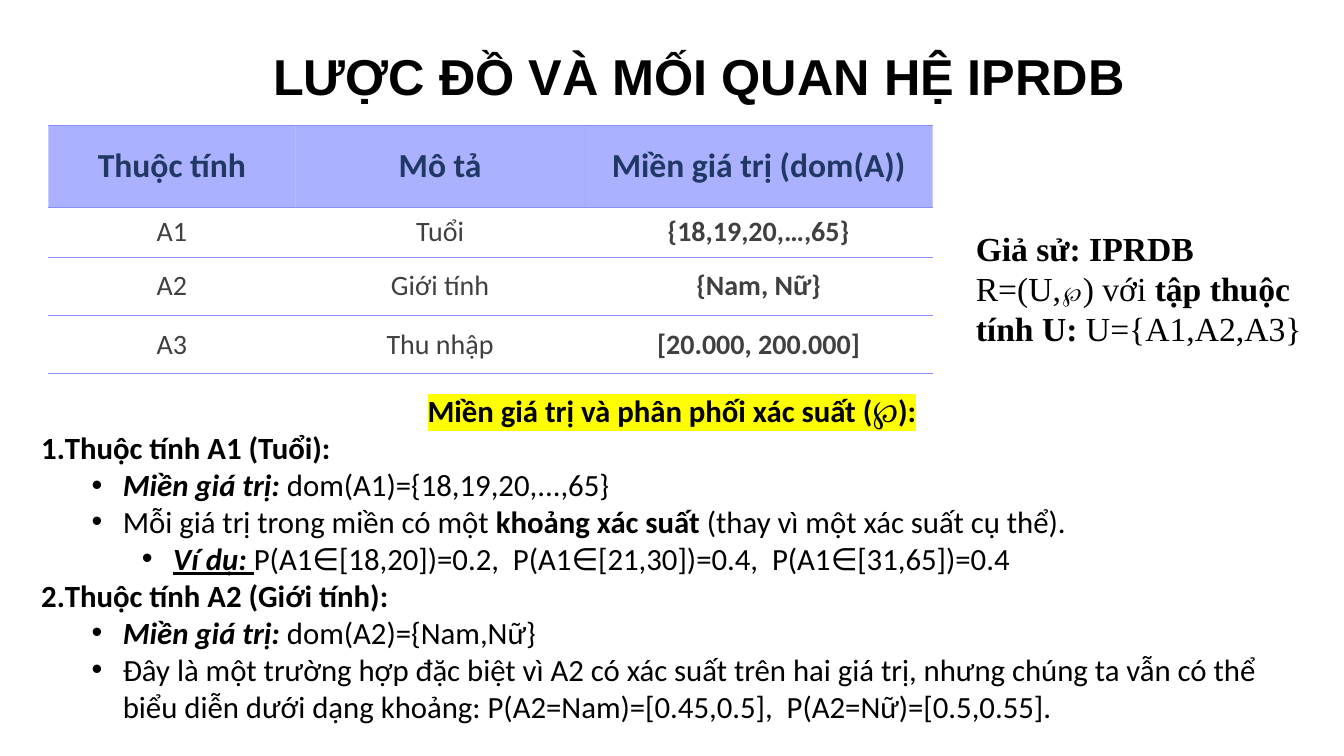
from dataclasses import dataclass

from lxml import etree
from pptx import Presentation
from pptx.dml.color import RGBColor
from pptx.enum.text import MSO_ANCHOR, MSO_AUTO_SIZE, PP_ALIGN
from pptx.oxml.ns import qn
from pptx.util import Pt

PX = 9144
LEFT, CENTER = PP_ALIGN.LEFT, PP_ALIGN.CENTER
TOP, MIDDLE = MSO_ANCHOR.TOP, MSO_ANCHOR.MIDDLE
NO_AUTOFIT = MSO_AUTO_SIZE.NONE
COLORS = {"black": "000000", "navy": "203864", "gray": "404040",
          "violet": "888FFF", "yellow": "FFFF00"}


@dataclass(frozen=True)
class Box:
    left: int
    top: int
    width: int
    height: int

    def emu(self) -> list[int]:
        return [n * PX for n in (self.left, self.top, self.width, self.height)]


@dataclass(frozen=True)
class Style:
    font: str
    size: int
    color: str


@dataclass(frozen=True)
class Span:
    text: str
    bold: bool = False
    italic: bool = False
    underline: bool = False
    highlight: str = ""


@dataclass(frozen=True)
class Line:
    spans: tuple[Span, ...]
    align: PP_ALIGN = LEFT
    level: int = 0
    bullet: str = ""


TITLE = Line((Span("LƯỢC ĐỒ VÀ MỐI QUAN HỆ IPRDB", bold=True),))
ASSUMPTION = Line((
    Span("Giả sử: IPRDB", bold=True),
    Span(" R=(U,℘) với "),
    Span("tập thuộc tính U: ", bold=True),
    Span("U={A1,A2,A3}"),
))
DOMAINS = [
    Line((Span("Miền giá trị và phân phối xác suất (℘):", bold=True,
               highlight="yellow"),), CENTER),
    Line((Span("Thuộc tính A1 (Tuổi):", bold=True),), bullet="number"),
    Line((Span("Miền giá trị:", bold=True, italic=True),
          Span(" dom(A1)={18,19,20,...,65}")), level=1, bullet="•"),
    Line((Span("Mỗi giá trị trong miền có một "),
          Span("khoảng xác suất", bold=True),
          Span(" (thay vì một xác suất cụ thể).")), level=1, bullet="•"),
    Line((Span("Ví dụ: ", bold=True, italic=True, underline=True),
          Span("P(A1∈[18,20])=0.2,  P(A1∈[21,30])=0.4,  P(A1∈[31,65])=0.4")),
         level=2, bullet="•"),
    Line((Span("Thuộc tính A2 (Giới tính):", bold=True),), bullet="number"),
    Line((Span("Miền giá trị: ", bold=True, italic=True),
          Span("dom(A2)={Nam,Nữ}")), level=1, bullet="•"),
    Line((Span("Đây là một trường hợp đặc biệt vì A2 có xác suất trên hai giá trị, "
               "nhưng chúng ta vẫn có thể biểu diễn dưới dạng khoảng: "
               "P(A2=Nam)=[0.45,0.5],  P(A2=Nữ)=[0.5,0.55]."),),
         level=1, bullet="•"),
]
ATTRIBUTES = [
    ["Thuộc tính", "Mô tả", "Miền giá trị (dom(A))"],
    ["A1", "Tuổi", "{18,19,20,…,65}"],
    ["A2", "Giới tính", "{Nam, Nữ}"],
    ["A3", "Thu nhập", "[20.000, 200.000]"],
]
COLUMN_WIDTHS = [245, 287, 345]
ROW_HEIGHTS = [82, 49, 58, 58]


def rgb(color: str) -> RGBColor:
    return RGBColor.from_string(COLORS[color])


def add_bullet(paragraph, line: Line) -> None:
    props = paragraph._p.get_or_add_pPr()
    if line.level:
        props.set("marL", str((31 + 50 * line.level) * PX))
        props.set("indent", str(-31 * PX))
    if line.bullet == "number":
        etree.SubElement(props, qn("a:buFont"), typeface="+mj-lt")
        etree.SubElement(props, qn("a:buAutoNum"), type="arabicPeriod")
    else:
        etree.SubElement(props, qn("a:buFont"), typeface="Arial")
        etree.SubElement(props, qn("a:buChar"), char=line.bullet)


def add_highlight(run, color: str) -> None:
    highlight = etree.SubElement(run._r.get_or_add_rPr(), qn("a:highlight"))
    etree.SubElement(highlight, qn("a:srgbClr"), val=COLORS[color])


def write_line(paragraph, line: Line, style: Style) -> None:
    paragraph.alignment = line.align
    paragraph.level = line.level
    if line.bullet:
        add_bullet(paragraph, line)
    font = paragraph.font
    font.name, font.size = style.font, Pt(style.size)
    font.color.rgb = rgb(style.color)
    same_bold = len({span.bold for span in line.spans}) == 1
    if same_bold:
        font.bold = line.spans[0].bold
    for span in line.spans:
        run = paragraph.add_run()
        run.text = span.text
        if not same_bold:
            run.font.bold = span.bold
        if span.italic:
            run.font.italic = True
        if span.underline:
            run.font.underline = True
        if span.highlight:
            add_highlight(run, span.highlight)


def write_frame(frame, lines: list[Line], style: Style, wrap: bool = True) -> None:
    frame.word_wrap = wrap
    frame.auto_size = NO_AUTOFIT
    for index, line in enumerate(lines):
        paragraph = frame.add_paragraph() if index else frame.paragraphs[0]
        write_line(paragraph, line, style)


def add_text(slide, box: Box, lines: list[Line], style: Style) -> None:
    frame = slide.shapes.add_textbox(*box.emu()).text_frame
    frame.vertical_anchor = TOP
    write_frame(frame, lines, style)


def set_borders(cell, top: float, bottom: float) -> None:
    props = cell._tc.get_or_add_tcPr()
    sides = {"a:lnL": 0, "a:lnR": 0, "a:lnT": top, "a:lnB": bottom}
    for position, (side, width) in enumerate(sides.items()):
        border = etree.Element(qn(side), w=str(Pt(width)))
        if width:
            fill = etree.SubElement(border, qn("a:solidFill"))
            etree.SubElement(fill, qn("a:srgbClr"), val=COLORS["violet"])
        else:
            etree.SubElement(border, qn("a:noFill"))
        props.insert(position, border)


def fill_header(cell) -> None:
    cell.fill.solid()
    cell.fill.fore_color.rgb = rgb("violet")
    color = cell._tc.tcPr.find(f"{qn('a:solidFill')}/{qn('a:srgbClr')}")
    etree.SubElement(color, qn("a:alpha"), val="70000")


def add_attribute_table(slide, box: Box) -> None:
    table = slide.shapes.add_table(
        len(ROW_HEIGHTS), len(COLUMN_WIDTHS), *box.emu()).table
    table.first_row = table.horz_banding = False
    for column, width in zip(table.columns, COLUMN_WIDTHS):
        column.width = width * PX
    for r, (row, height) in enumerate(zip(table.rows, ROW_HEIGHTS)):
        row.height = height * PX
        header = r == 0
        style = Style("Calibri", 24, "navy") if header else Style("Calibri", 20, "gray")
        for c, text in enumerate(ATTRIBUTES[r]):
            cell = table.cell(r, c)
            cell.vertical_anchor = MIDDLE
            span = Span(text, bold=header or c == 2)
            write_line(cell.text_frame.paragraphs[0], Line((span,), CENTER), style)
            if header:
                fill_header(cell)
            else:
                cell.fill.background()
            set_borders(cell, 1 if r == 1 else 0.75, 1 if header else 0.75)


def main() -> None:
    deck = Presentation()
    deck.slide_width, deck.slide_height = 1333 * PX, 750 * PX
    slide = deck.slides.add_slide(deck.slide_layouts[5])
    title = slide.shapes.title
    title.left, title.top, title.width, title.height = Box(261, 39, 874, 71).emu()
    title.text_frame.vertical_anchor = MIDDLE
    write_frame(title.text_frame, [TITLE], Style("Arial", 36, "black"), wrap=False)
    add_text(slide, Box(958, 221, 354, 131), [ASSUMPTION],
             Style("Times New Roman", 24, "black"))
    add_text(slide, Box(31, 384, 1271, 343), DOMAINS, Style("Calibri", 22, "black"))
    add_attribute_table(slide, Box(48, 124, sum(COLUMN_WIDTHS), sum(ROW_HEIGHTS)))
    deck.save("out.pptx")


if __name__ == "__main__":
    main()
